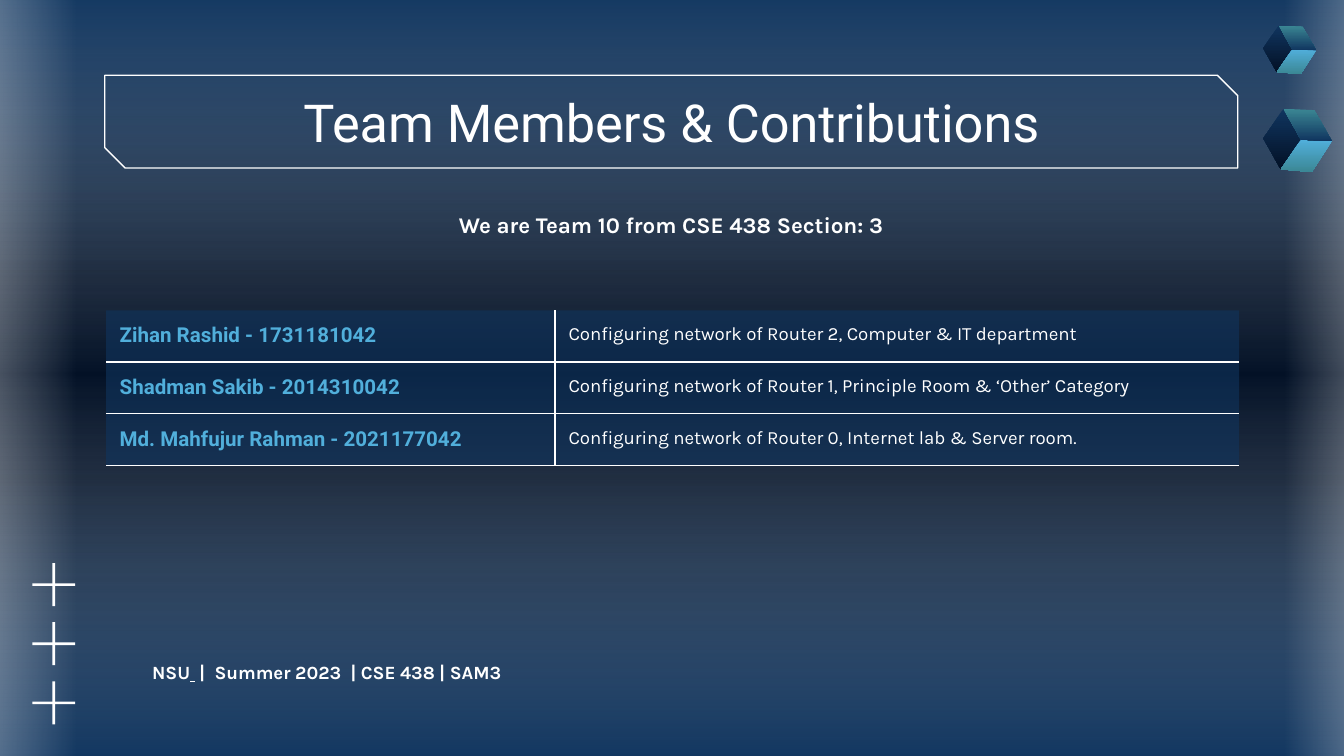
from lxml.etree import SubElement
from pptx import Presentation
from pptx.enum.shapes import MSO_SHAPE
from pptx.enum.text import MSO_ANCHOR, PP_ALIGN
from pptx.oxml import parse_xml
from pptx.oxml.ns import nsdecls, qn
from pptx.util import Inches, Pt

WHITE, NAVY, NIGHT, SKY, TEAL = "FFFFFF", "10355F", "031126", "51AFDB", "3B8794"


def paint(parent, *stops, angle=90):
    """Fill an XML element: one (hex, opacity %) stop is solid; (hex, opacity %, position %) stops blend."""
    colors = [
        f'<a:srgbClr val="{color}"><a:alpha val="{opacity * 1000}"/></a:srgbClr>'
        for color, opacity, *_ in stops
    ]
    if len(stops) == 1:
        xml = f'<a:solidFill {nsdecls("a")}>{colors[0]}</a:solidFill>'
    else:
        blend = "".join(
            f'<a:gs pos="{stop[2] * 1000}">{color}</a:gs>' for stop, color in zip(stops, colors)
        )
        xml = (
            f'<a:gradFill {nsdecls("a")} rotWithShape="1"><a:gsLst>{blend}</a:gsLst>'
            f'<a:lin ang="{angle * 60000}" scaled="0"/></a:gradFill>'
        )
    empty = parent.find(qn("a:noFill"))
    if empty is None:
        parent.append(parse_xml(xml))
    else:
        parent.replace(empty, parse_xml(xml))


def write(frame, text, size=10, font="Karla", color=WHITE, bold=False, underline=False,
          align=PP_ALIGN.LEFT, anchor=MSO_ANCHOR.TOP):
    """Add a span to the first paragraph of a text frame."""
    frame.word_wrap = True
    frame.vertical_anchor = anchor
    frame.margin_left = frame.margin_right = frame.margin_top = frame.margin_bottom = Inches(0.1)
    paragraph = frame.paragraphs[0]
    paragraph.alignment = align
    span = paragraph.add_run()
    span.text = text
    paint(span.font._element, (color, 100))
    span.font.size, span.font.name = Pt(size), font
    span.font.bold, span.font.underline = bold, underline


deck = Presentation()
deck.slide_width = Inches(10)
deck.slide_height = deck.slide_width * 9 // 16
page = deck.slides.add_slide(deck.slide_layouts[6])

# Background and glowing edges
page.background.fill.background()
paint(page.element.xpath(".//p:bgPr")[0],
      (NAVY, 100, 0), (NIGHT, 100, 37), (NIGHT, 100, 63), (NAVY, 100, 100))

haze = [(NAVY, 59, 0), (WHITE, 0, 50), (NAVY, 59, 100)]
glow = [(WHITE, 47, 0), (WHITE, 0, 100)]
for left, top, width, height, rotation, stops in [
    (2.2, -2.33, 5.81, 10.21, 270, haze),
    (-0.41, -0.09, 0.98, 5.8, 180, glow),
    (9.56, -0.13, 0.85, 5.8, 0, glow),
]:
    veil = page.shapes.add_shape(
        MSO_SHAPE.RECTANGLE, Inches(left), Inches(top), Inches(width), Inches(height))
    veil.rotation = rotation
    veil.shadow.inherit = False
    veil.line.fill.background()
    veil.fill.background()
    paint(veil.element.spPr, *stops, angle=180)

# Title frame and texts
title_frame = page.shapes.add_shape(
    MSO_SHAPE.SNIP_2_DIAG_RECTANGLE, Inches(0.78), Inches(0.56), Inches(8.43), Inches(0.69))
title_frame.adjustments[0], title_frame.adjustments[1] = 0, 0.22
title_frame.shadow.inherit = False
title_frame.fill.background()
title_frame.line.width = Pt(0.75)
title_frame.line.fill.background()
paint(title_frame.element.spPr.find(qn("a:ln")), (WHITE, 100))

title = page.shapes.add_textbox(Inches(0.78), Inches(0.59), Inches(8.43), Inches(0.63))
write(title.text_frame, "Team Members & Contributions", size=28, font="Roboto",
      align=PP_ALIGN.CENTER, anchor=MSO_ANCHOR.MIDDLE)

subtitle = page.shapes.add_textbox(Inches(0.78), Inches(1.47), Inches(8.43), Inches(0.63))
write(subtitle.text_frame, "We are Team 10 from CSE 438 Section: 3", size=12, bold=True,
      align=PP_ALIGN.CENTER)

footer = page.shapes.add_textbox(Inches(0.79), Inches(4.67), Inches(3.28), Inches(0.5))
for text, underline in [("NSU", False), (" ", True), (" |  Summer 2023  | CSE 438 | SAM3", False)]:
    write(footer.text_frame, text, bold=True, underline=underline,
          align=PP_ALIGN.CENTER, anchor=MSO_ANCHOR.BOTTOM)

# Members table
members = [
    ("Zihan Rashid - 1731181042", "Configuring network of Router 2, Computer & IT department"),
    ("Shadman Sakib - 2014310042",
     "Configuring network of Router 1, Principle Room & ‘Other’ Category"),
    ("Md. Mahfujur Rahman - 2021177042",
     "Configuring network of Router 0, Internet lab & Server room."),
]
table = page.shapes.add_table(
    len(members), 2, Inches(0.79), Inches(2.31), Inches(8.43), Inches(1.15)).table
table.first_row = table.horz_banding = False
table.columns[0].width, table.columns[1].width = Inches(3.34), Inches(5.09)
name_format = dict(size=11, font="Roboto", color=SKY, bold=True)
for row, member in enumerate(members):
    for column, text in enumerate(member):
        cell = table.cell(row, column)
        write(cell.text_frame, text, **(name_format if column == 0 else {}))
        cell.margin_left = cell.margin_right = cell.margin_top = cell.margin_bottom = Inches(0.1)
        properties = cell._tc.get_or_add_tcPr()
        inner_side = "R" if column == 0 else "L"
        visible = {inner_side, "B"} | ({"T"} if row else set())
        for side in "LRTB":
            border = SubElement(properties, qn(f"a:ln{side}"), w=str(Pt(0.75)))
            if side in visible:
                paint(border, (WHITE, 100))
            else:
                SubElement(border, qn("a:noFill"))
        paint(properties, (NAVY, 59))

# Plus signs
pluses = page.shapes.add_group_shape()
for index in range(3):
    top = 4.19 + 0.44 * index
    for left, arm_top, width, height in [(0.24, top + 0.15, 0.32, 0.02), (0.39, top, 0.02, 0.32)]:
        arm = pluses.shapes.add_shape(
            MSO_SHAPE.RECTANGLE, Inches(left), Inches(arm_top), Inches(width), Inches(height))
        arm.shadow.inherit = False
        arm.line.fill.background()
        arm.fill.background()
        paint(arm.element.spPr, (WHITE, 100))

# Cubes: three faces meeting at the center
center, back, side, low = (0.28, 0.23), (0.15, 0), (0, 0.22), (0.13, 0.45)
front, right, upper = (0.36, 0.47), (0.51, 0.24), (0.38, 0.01)
faces = [
    ([back, side, low, center], NAVY, NIGHT),
    ([center, right, front, low], SKY, TEAL),
    ([back, upper, right, center], TEAL, NAVY),
]
for top, scale in [(0.81, 1), (0.19, 0.77)]:
    cube = page.shapes.add_group_shape()
    for corners, first, last in faces:
        points = [(Inches(9.4 + x * scale), Inches(top + y * scale)) for x, y in corners]
        outline = cube.shapes.build_freeform(*points[0])
        outline.add_line_segments(points[1:], close=True)
        face = outline.convert_to_shape()
        face.shadow.inherit = False
        face.line.fill.background()
        face.fill.background()
        paint(face.element.spPr, (first, 100, 0), (last, 100, 100))

deck.save("out.pptx")
